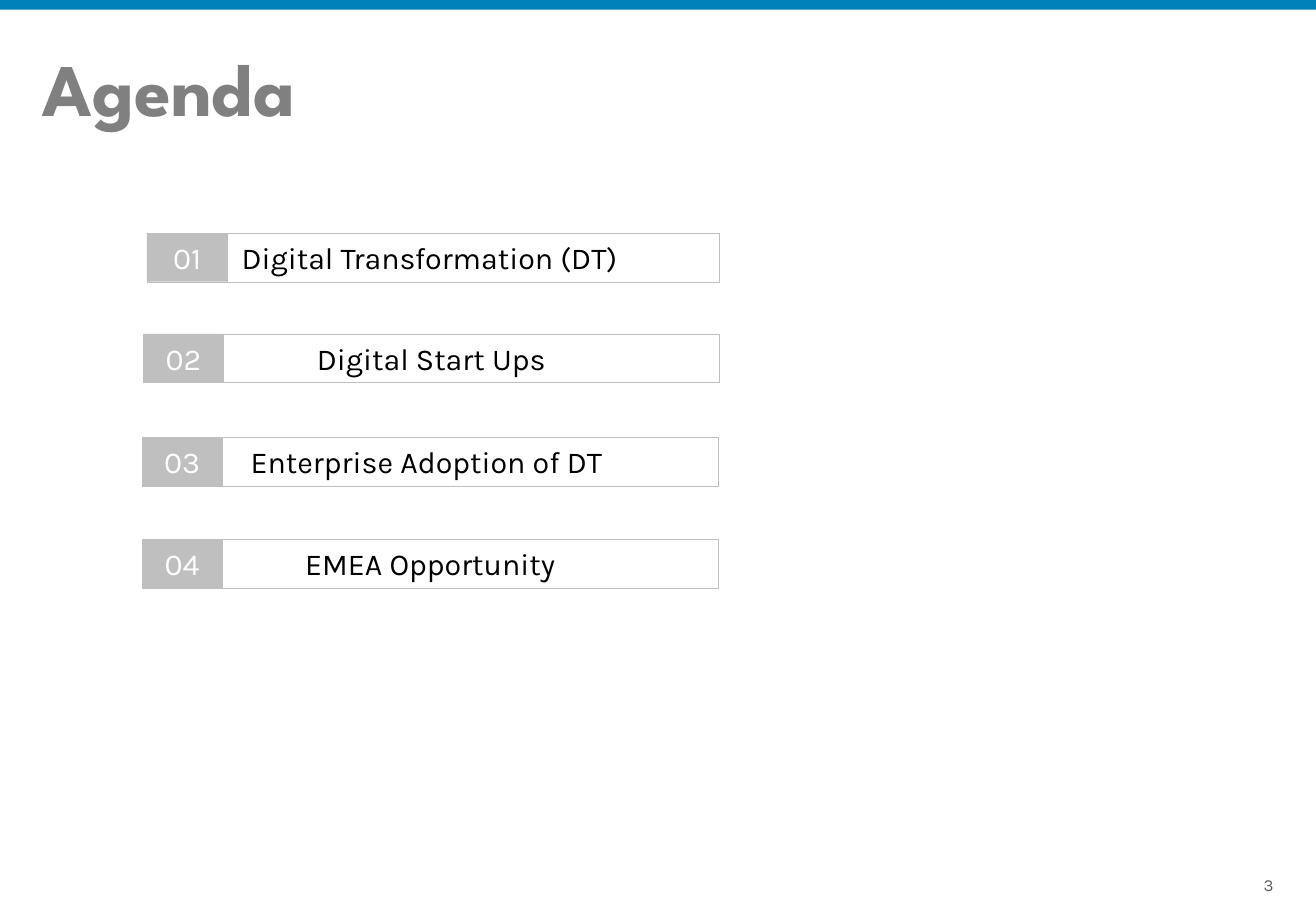
import pptx
import pptx.dml.color
import pptx.enum.shapes
import pptx.enum.text
import pptx.util

Inches = pptx.util.Inches
ALIGN = pptx.enum.text.PP_ALIGN
ANCHOR = pptx.enum.text.MSO_ANCHOR

BODY_FONT = "Karla"
BLUE, SILVER, WHITE, BLACK = "0081B9", "BFBFBF", "FFFFFF", "000000"
ROW_HEIGHT, NUMBER_WIDTH = 0.4, 0.66
AGENDA = [
    (1.21, 1.92, 4.71, "Digital Transformation (DT) "),
    (1.18, 2.75, 4.74, "Digital Start Ups"),
    (1.17, 3.6, 4.74, "Enterprise Adoption of DT "),
    (1.17, 4.44, 4.74, "EMEA Opportunity"),
]


def color(value):
    """Turn a hex string into a colour."""
    return pptx.dml.color.RGBColor.from_string(value)


def write(shape, text, ink, size=18, name=BODY_FONT, bold=False,
          align=ALIGN.CENTER, anchor=ANCHOR.MIDDLE):
    """Put one formatted line of text into a shape."""
    frame = shape.text_frame
    frame.word_wrap = True
    frame.auto_size = pptx.enum.text.MSO_AUTO_SIZE.NONE
    frame.vertical_anchor = anchor
    para = frame.paragraphs[0]
    para.alignment = align
    span = para.add_run()
    span.text = text
    formats = {"size": pptx.util.Pt(size), "name": name, "bold": bold}
    for key, value in formats.items():
        setattr(span.font, key, value)
    span.font.color.rgb = color(ink)


def add_box(shapes, box, fill, line=None):
    """Add a flat rectangle, outlined when a line colour is given."""
    shape = shapes.add_shape(pptx.enum.shapes.MSO_SHAPE.RECTANGLE,
                             *map(Inches, box))
    shape.shadow.inherit = False
    shape.fill.solid()
    shape.fill.fore_color.rgb = color(fill)
    if line:
        shape.line.color.rgb = color(line)
        shape.line.width = pptx.util.Pt(0.25)
    else:
        shape.line.fill.background()
    return shape


def add_title(page, box, text):
    """Place and format the title placeholder."""
    title = page.shapes.title
    for key, value in zip(("left", "top", "width", "height"), box):
        setattr(title, key, Inches(value))
    write(title, text, "808080", 44, "League Spartan", True,
          ALIGN.LEFT, ANCHOR.TOP)


def add_page_number(page, box, text):
    """Add the page number in the footer."""
    number = page.shapes.add_textbox(*map(Inches, box))
    write(number, text, "595959", 10, align=ALIGN.RIGHT)


def add_agenda_row(page, box, number, text):
    """Add a grouped agenda row with its number at the left end."""
    left, top, _, height = box
    row = page.shapes.add_group_shape().shapes
    write(add_box(row, box, WHITE, SILVER), text, BLACK)
    tile = add_box(row, (left, top, NUMBER_WIDTH, height), SILVER, SILVER)
    write(tile, f"{number:02}", WHITE)


def main():
    """Build the agenda slide."""
    deck = pptx.Presentation()
    deck.slide_width, deck.slide_height = Inches(10.83), Inches(7.5)
    page = deck.slides.add_slide(deck.slide_layouts.get_by_name("Title Only"))
    add_box(page.shapes, (0, 0, 10.83, 0.08), BLUE)
    add_title(page, (0.25, 0.3, 10.33, 1.25), "Agenda")
    add_page_number(page, (9.75, 7.15, 0.83, 0.27), "3")
    for number, (left, top, width, text) in enumerate(AGENDA, 1):
        add_agenda_row(page, (left, top, width, ROW_HEIGHT), number, text)
    deck.save("out.pptx")


if __name__ == "__main__":
    main()
